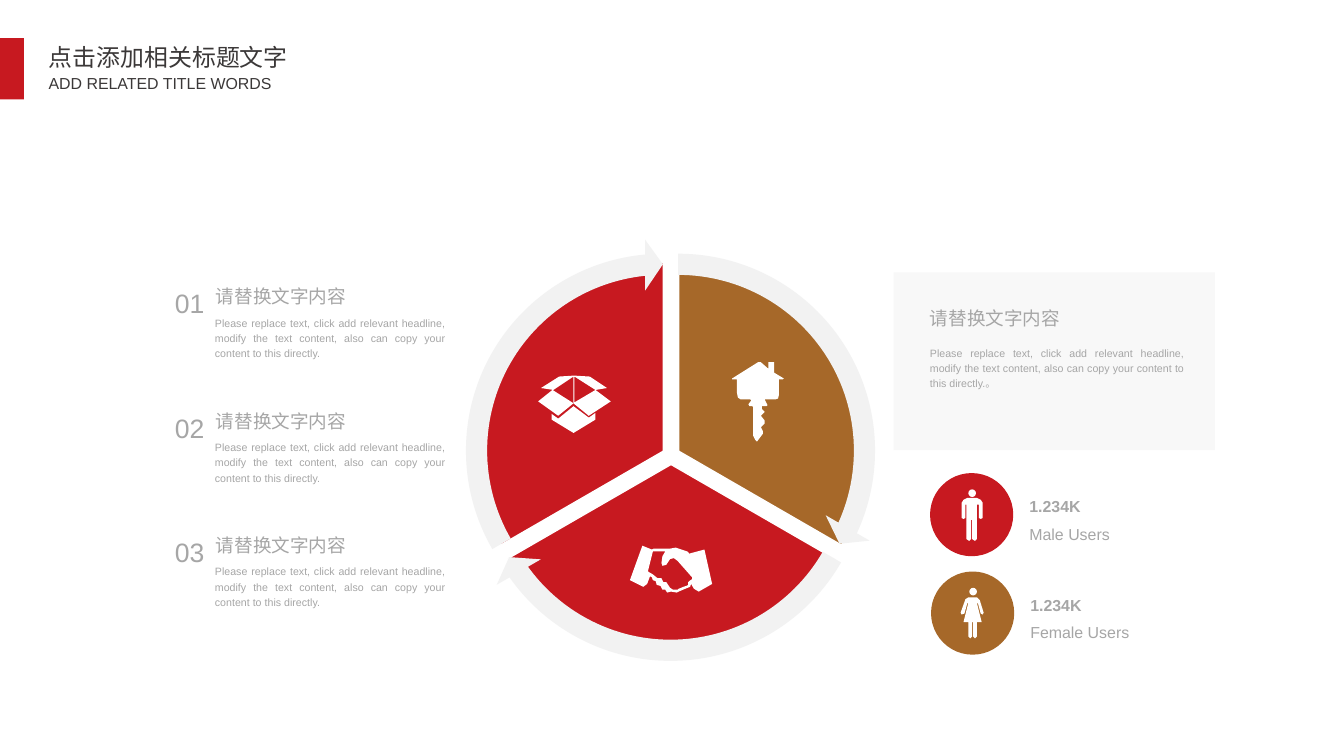
from lxml import etree
from pptx import Presentation
from pptx import util as u
from pptx.dml import color
from pptx.enum import shapes, text
from pptx.oxml import ns

PX = 9144
RED, BROWN, PALE, GREY, DARK, WHITE = "C71920", "A66829", "F2F2F2", "A6A6A6", "3B3838", "FFFFFF"
LATIN, CJK = "Arial", "Noto Sans CJK SC"
HEADING = "请替换文字内容"
BODY = ("Please replace text, click add relevant headline, modify the text content, "
        "also can copy your content to this directly.")

HANDSHAKE = [
    [(78, 4), (63, 8), (63, 9), (60, 6), (48, 2), (42, 3), (25, 3), (23, 4), (13, 0),
     (0, 36), (14, 43), (18, 40), (21, 32), (23, 33), (24, 36), (27, 37), (28, 41),
     (32, 42), (34, 46), (37, 46), (39, 49), (43, 48), (49, 49), (51, 48), (58, 45),
     (63, 43), (64, 40), (67, 45), (72, 48), (86, 40)],
    [(62, 37), (61, 38), (61, 41), (59, 42), (56, 43), (51, 45), (50, 46), (45, 46),
     (42, 44), (40, 41), (38, 38), (35, 38), (33, 34), (29, 34), (24, 30), (19, 27),
     (19, 26), (24, 6), (37, 6), (34, 11), (33, 18), (34, 21), (38, 20), (42, 14),
     (46, 13), (50, 16), (65, 33), (65, 35)],
]
OPEN_BOX = [
    [[(37, 29), (53, 42), (76, 27), (60, 15), (38, 28), (38, 1), (60, 15), (72, 13),
      (54, 1), (38, 0), (37, 0), (22, 1), (3, 13), (16, 15), (37, 1)]],
    [[(0, 27), (21, 42), (37, 29), (15, 15)]],
    [[(37, 32), (21, 45), (14, 40), (14, 46), (37, 60), (60, 46), (60, 39), (53, 44)]],
]
HOUSE_KEY = [
    [(6, 33), (6, 19), (1, 19), (1, 18), (28, 1), (31, 1), (39, 8), (39, 1), (45, 1),
     (45, 12), (55, 18), (54, 19), (50, 19), (50, 35), (49, 39), (46, 40), (35, 40),
     (38, 46), (37, 47), (32, 47), (32, 50), (35, 53), (31, 57), (35, 62), (35, 65),
     (31, 69), (33, 73), (33, 76), (27, 84), (25, 82), (23, 78), (23, 48), (22, 47),
     (19, 47), (18, 45), (21, 41), (20, 40), (10, 40), (7, 38)],
]
MAN = [
    [(49, 26), (39, 26), (35, 28), (33, 31), (33, 47), (35, 48), (37, 47), (37, 33),
     (38, 33), (38, 69), (41, 71), (43, 69), (43, 49), (44, 49), (44, 69), (47, 71),
     (49, 69), (49, 33), (51, 33), (51, 47), (53, 48), (55, 47), (55, 31), (53, 28)],
]
WOMAN = [
    [(55, 43), (51, 30), (48, 27), (39, 27), (36, 29), (31, 43), (32, 45), (35, 44),
     (38, 33), (39, 33), (34, 53), (39, 53), (39, 68), (41, 70), (43, 68), (43, 53),
     (44, 53), (44, 68), (46, 70), (48, 68), (48, 53), (53, 53), (48, 33), (49, 33),
     (52, 44), (54, 45)],
]


def rgb(value):
    return color.RGBColor.from_string(value)


def px(*lengths):
    return [length * PX for length in lengths]


def paint(sp, fill, line=None, alpha=None):
    sp.shadow.inherit = False
    sp.fill.solid()
    sp.fill.fore_color.rgb = rgb(fill)
    if alpha:
        clr = sp.fill._xPr.find(".//" + ns.qn("a:srgbClr"))
        etree.SubElement(clr, ns.qn("a:alpha")).set("val", str(alpha * 1000))
    if line:
        sp.line.color.rgb = rgb(line)
        sp.line.width = u.Pt(1)
    else:
        sp.line.fill.background()


def add_preset(s, kind, box, fill, line=None, alpha=None, adjust=None):
    sp = s.shapes.add_shape(kind, *px(*box))
    for i, value in (adjust or {}).items():
        sp.adjustments[i] = value
    paint(sp, fill, line, alpha)


def add_icon(s, x, y, contours):
    first, *rest = contours
    fb = s.shapes.build_freeform(*first[0], scale=PX)
    fb.add_line_segments(first[1:])
    for contour in rest:
        fb.move_to(*contour[0])
        fb.add_line_segments(contour[1:])
    paint(fb.convert_to_shape(*px(x, y)), WHITE)


def add_text(s, box, content, size=12, font=LATIN, fill=GREY, bold=False,
             justify=False, wrap=False, spacing=1.2, sp=None):
    if sp is None:
        sp = s.shapes.add_textbox(*px(*box))
    sp.left, sp.top, sp.width, sp.height = px(*box)
    tf = sp.text_frame
    tf.word_wrap = wrap
    tf.auto_size = text.MSO_AUTO_SIZE.SHAPE_TO_FIT_TEXT
    tf.vertical_anchor = text.MSO_ANCHOR.TOP
    p = tf.paragraphs[0]
    p.alignment = text.PP_ALIGN.JUSTIFY if justify else text.PP_ALIGN.LEFT
    p.line_spacing = spacing
    r = p.add_run()
    r.text = content
    r.font.size = u.Pt(size)
    r.font.name = font
    r.font.bold = bold
    r.font.color.rgb = rgb(fill)
    etree.SubElement(r.font._element, ns.qn("a:ea")).set("typeface", CJK)


def header(s, x, y):
    add_preset(s, shapes.MSO_SHAPE.RECTANGLE, (x, y, 25, 64), RED)
    add_text(s, (x + 41, y, 274, 41), "点击添加相关标题文字", size=18, font=CJK,
             fill=DARK, spacing=1.0, sp=s.shapes.title)
    add_text(s, (x + 41, y + 32, 257, 31), "ADD RELATED TITLE WORDS",
             fill=DARK, spacing=1.0)


def numbered_item(s, x, y, number):
    add_text(s, (x, y, 51, 47), f"{number:02}", size=20, justify=True)
    add_text(s, (x + 43, y, 163, 36), HEADING, size=14)
    add_text(s, (x + 42, y + 35, 261, 57), BODY, size=8, justify=True, wrap=True)


def cycle(s, x, y):
    sectors = [(8, 0, BROWN), (0, 14, RED), (-8, 0, RED)]
    pie, ring = 197, 221.5
    for i, (dx, dy, fill) in enumerate(sectors):
        box = (x + dx - pie, y + dy - pie, 2 * pie, 2 * pie)
        start, end = (270 + 120 * i) % 360, (30 + 120 * i) % 360
        add_preset(s, shapes.MSO_SHAPE.PIE, box, fill, line=WHITE,
                   adjust={0: start * 0.6, 1: end * 0.6})
    for i, (dx, dy, _) in enumerate(sectors):
        box = (int(x + dx - ring), int(y + dy - ring), 443, 443)
        start, end = (270 + 120 * i) % 360, 24.54 + 120 * i
        add_preset(s, shapes.MSO_SHAPE.CIRCULAR_ARROW, box, PALE,
                   adjust={0: 0.05, 1: 3.28, 2: end * 0.6, 3: start * 0.6, 4: 0.06})
    add_icon(s, x - 43, y + 99, HANDSHAKE)
    for part in OPEN_BOX:
        add_icon(s, x - 139, y - 79, part)
    add_icon(s, x + 63, y - 94, HOUSE_KEY)


def panel(s, x, y):
    add_preset(s, shapes.MSO_SHAPE.RECTANGLE, (x, y, 336, 186), PALE, alpha=50)
    add_text(s, (x + 28, y + 27, 163, 36), HEADING, size=14)
    add_text(s, (x + 28, y + 70, 286, 59), BODY + "。", size=8, justify=True, wrap=True)


def user_count(s, x, y, fill, body, label):
    add_preset(s, shapes.MSO_SHAPE.OVAL, (x, y, 87, 87), fill)
    add_preset(s, shapes.MSO_SHAPE.OVAL, (x + 40, y + 17, 8, 8), WHITE)
    add_icon(s, x, y, body)
    add_text(s, (x + 94, y + 16, 74, 32), "1.234K", bold=True)
    add_text(s, (x + 94, y + 45, 125, 32), label)


def main():
    prs = Presentation()
    prs.slide_width, prs.slide_height = px(1406, 791)
    s = prs.slides.add_slide(prs.slide_layouts[5])
    header(s, 0, 40)
    for i in range(3):
        numbered_item(s, 173, 289 + 130 * i, i + 1)
    cycle(s, 702, 472)
    panel(s, 935, 285)
    user_count(s, 973, 495, RED, MAN, "Male Users")
    user_count(s, 974, 598, BROWN, WOMAN, "Female Users")
    prs.save("out.pptx")


if __name__ == "__main__":
    main()
